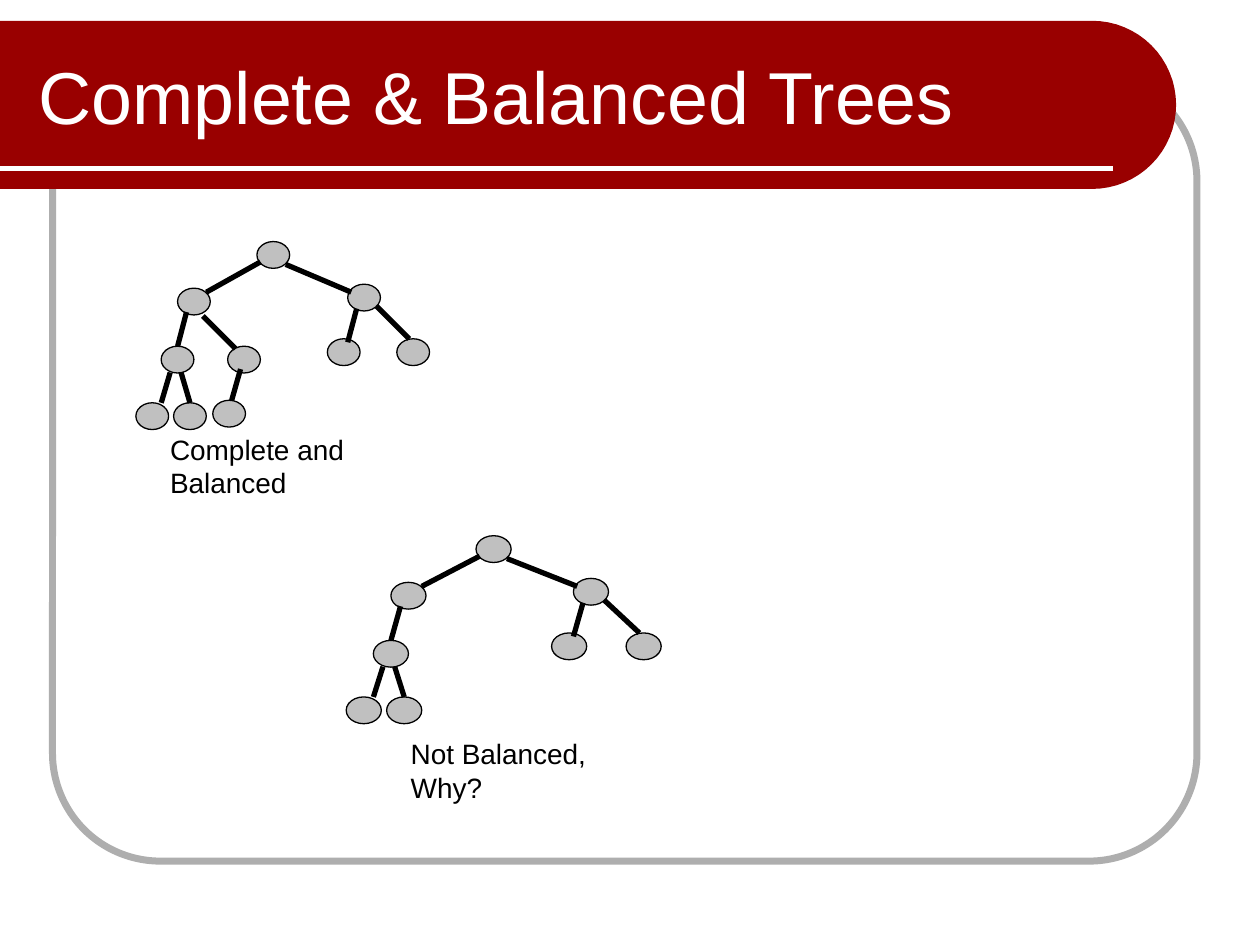
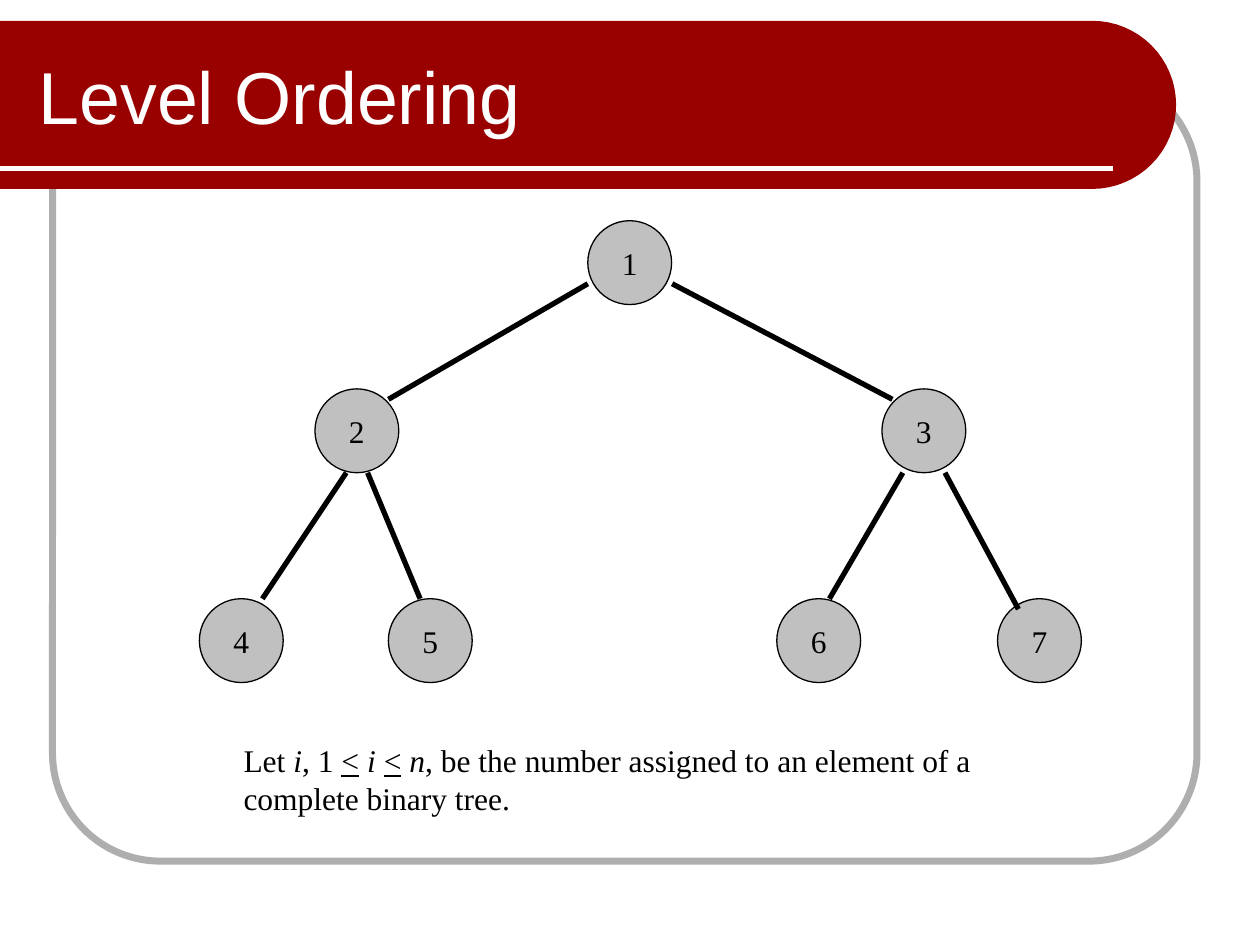
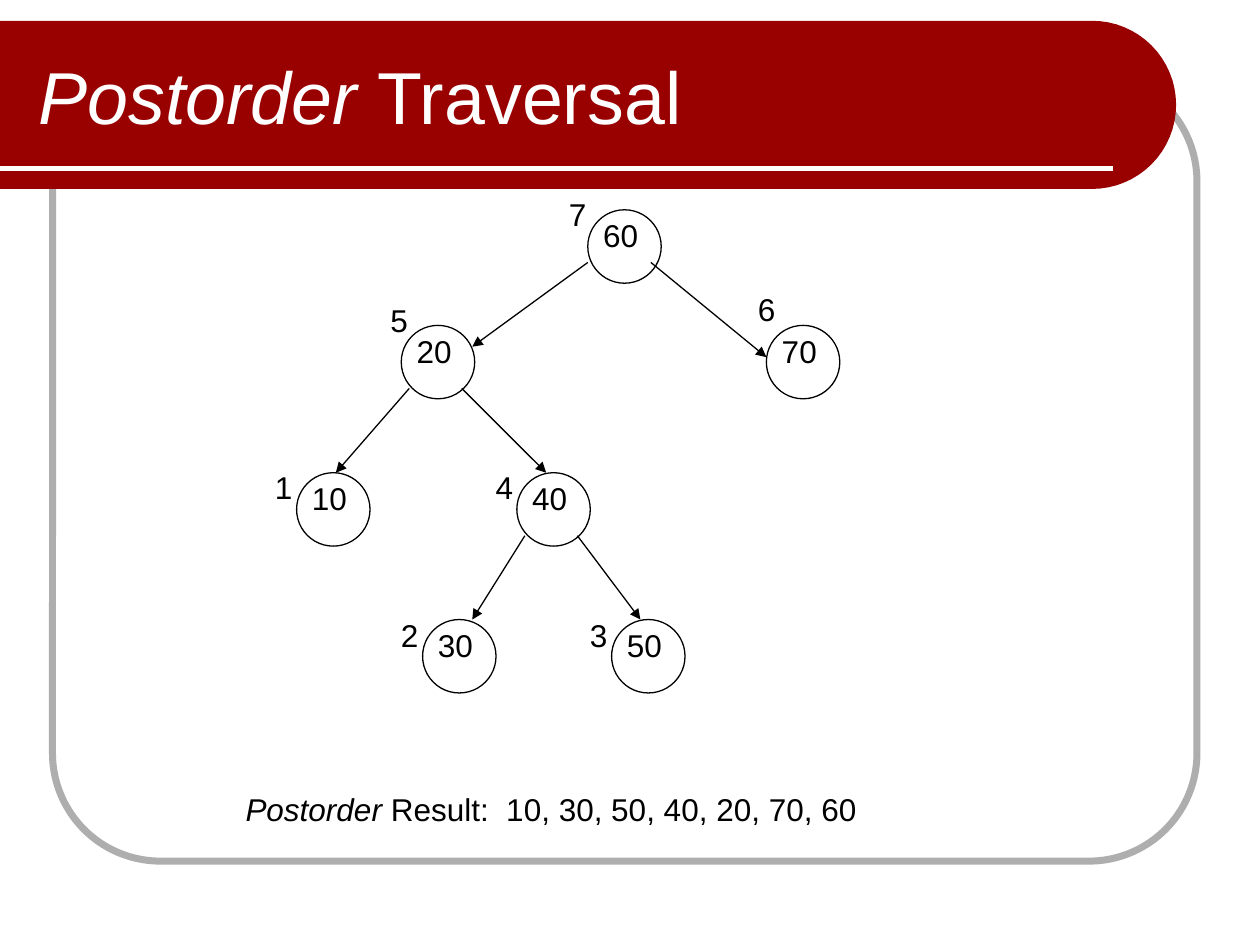
from math import cos, pi, sin

from lxml.etree import SubElement
from pptx import Presentation
from pptx.dml.color import RGBColor
from pptx.enum.shapes import MSO_CONNECTOR, MSO_SHAPE
from pptx.enum.text import MSO_ANCHOR, PP_ALIGN
from pptx.oxml.ns import qn
from pptx.util import Cm, Pt

RED = RGBColor(0x99, 0x00, 0x00)
GREY = RGBColor(0xAE, 0xAE, 0xAE)
SILVER = RGBColor(0xC0, 0xC0, 0xC0)
BLACK = RGBColor(0, 0, 0)
WHITE = RGBColor(0xFF, 0xFF, 0xFF)
SANS = "Arial"
SERIF = "Times New Roman"

SMALL_DOTS = {
    "root": (2.44, 0), "L": (0.84, 0.94), "R": (4.27, 0.86),
    "LL": (0.51, 2.11), "LR": (1.85, 2.11),
    "RL": (3.86, 1.96), "RR": (5.26, 1.96),
    "LLL": (0, 3.25), "LLR": (0.76, 3.25), "LRL": (1.55, 3.2),
}
SMALL_LINKS = {
    "L": (2.51, 0.41, 1.42, 1.02), "R": (3.02, 0.46, 4.34, 1.02),
    "LL": (1.02, 1.42, 0.84, 2.11), "LR": (1.35, 1.5, 2.01, 2.16),
    "RL": (4.45, 1.35, 4.27, 2.03), "RR": (4.85, 1.3, 5.51, 1.96),
    "LLL": (0.69, 2.64, 0.51, 3.25), "LLR": (0.91, 2.64, 1.09, 3.25),
    "LRL": (2.11, 2.57, 1.93, 3.2),
}
LEVEL_DOTS = [
    (7.83, 0), (2.33, 3.39), (13.76, 3.39),
    (0, 7.62), (3.81, 7.62), (11.64, 7.62), (16.09, 7.62),
]
LEVEL_LINKS = [
    (7.83, 1.27, 3.81, 3.6), (9.53, 1.27, 13.97, 3.6),
    (2.96, 5.08, 1.27, 7.62), (3.39, 5.08, 4.45, 7.62),
    (14.18, 5.08, 12.7, 7.62), (15.03, 5.08, 16.51, 7.83),
]
POST_DOTS = [
    ("60", (6.56, 0.42), "7", (5.93, 0)),
    ("40", (5.13, 5.72), "4", (4.45, 5.5)),
    ("10", (0.69, 5.72), "1", (0, 5.5)),
    ("70", (10.16, 2.75), "6", (9.74, 1.91)),
    ("20", (2.8, 2.75), "5", (2.33, 2.12)),
    ("30", (3.23, 8.68), "2", (2.54, 8.47)),
    ("50", (7.04, 8.68), "3", (6.35, 8.47)),
]
POST_LINKS = [
    (6.56, 1.48, 4.23, 3.18), (7.83, 1.48, 10.16, 3.39),
    (2.96, 4.02, 1.48, 5.72), (4.02, 4.02, 5.72, 5.72),
    (5.29, 6.99, 4.23, 8.68), (6.35, 6.99, 7.62, 8.68),
]


def write(shape, text, size=18, font=SANS, color=BLACK,
          align=PP_ALIGN.LEFT, anchor=MSO_ANCHOR.TOP):
    """Fill a shape with a string, or with (string, style) runs."""
    frame = shape.text_frame
    frame.word_wrap = True
    frame.vertical_anchor = anchor
    line = frame.paragraphs[0]
    line.alignment = align
    for part, style in [(text, "")] if isinstance(text, str) else text:
        run = line.add_run()
        run.text = part
        run.font.size = Pt(size)
        run.font.name = font
        run.font.color.rgb = color
        run.font.italic = "i" in style
        run.font.underline = "u" in style


def label(slide, box, text, **style):
    """Add a text box."""
    write(slide.shapes.add_textbox(*map(Cm, box)), text, **style)


def draw(slide, ends, color=BLACK, width=3, arrow=False):
    """Add a straight line, with an arrowhead at its end if asked."""
    line = slide.shapes.add_connector(MSO_CONNECTOR.STRAIGHT, *map(Cm, ends))
    line.line.color.rgb = color
    line.line.width = Pt(width)
    if arrow:
        SubElement(line.line._get_or_add_ln(), qn("a:tailEnd"), type="triangle")
    SubElement(line._element.spPr, qn("a:effectLst"))


def form(slide, kind, box, fill=None, line=BLACK, width=0.75):
    """Add a plain preset shape."""
    shape = slide.shapes.add_shape(kind, *map(Cm, box))
    shape.shadow.inherit = False
    if fill is None:
        shape.fill.background()
    else:
        shape.fill.solid()
        shape.fill.fore_color.rgb = fill
    shape.line.color.rgb = line
    shape.line.width = Pt(width)
    return shape


def band(slide, box):
    """Draw the red band with its round right end and white rule."""
    left, top, width, height = box
    half = height / 2
    edge = left + width - half
    turns = [pi * (step / 32 - 0.5) for step in range(33)]
    arc = [(Cm(edge + half * cos(turn)), Cm(top + half + half * sin(turn)))
           for turn in turns]
    path = slide.shapes.build_freeform(Cm(left), Cm(top), scale=1.0)
    path.add_line_segments(arc + [(Cm(left), Cm(top + height))], close=True)
    shape = path.convert_to_shape()
    shape.shadow.inherit = False
    shape.fill.solid()
    shape.fill.fore_color.rgb = RED
    shape.line.fill.background()
    rule = top + height - 0.42
    draw(slide, (left, rule, left + width - 1.27, rule), color=WHITE)


def page(deck, title):
    """Add a slide with frame, band and title."""
    slide = deck.slides.add_slide(deck.slide_layouts[6])
    frame = form(slide, MSO_SHAPE.ROUNDED_RECTANGLE,
                 (1.06, 1.48, 23.07, 15.88), line=GREY, width=4)
    frame.adjustments[0] = 0.137
    band(slide, (0, 0.42, 23.71, 3.39))
    label(slide, (0.53, 0.64, 19.79, 2.54), title, size=42, color=WHITE,
          anchor=MSO_ANCHOR.MIDDLE)
    return slide


def link(slide, left, top, ends, stretch=1, **style):
    """Draw a branch given relative to the corner of its tree."""
    x1, y1, x2, y2 = ends
    draw(slide, (left + x1 * stretch, top + y1, left + x2 * stretch, top + y2),
         **style)


def small(slide, box, skip=()):
    """Draw the small tree without the skipped nodes."""
    left, top, width, height = box
    wide = width / 5.92
    for name, (x, y) in SMALL_DOTS.items():
        if name not in skip:
            form(slide, MSO_SHAPE.OVAL,
                 (left + x * wide, top + y, 0.66 * wide, height - 3.25),
                 fill=SILVER)
    for name, ends in SMALL_LINKS.items():
        if name not in skip:
            link(slide, left, top, ends, stretch=wide)


def level(slide, left, top):
    """Draw the tree numbered level by level."""
    for count, (x, y) in enumerate(LEVEL_DOTS, 1):
        dot = form(slide, MSO_SHAPE.OVAL, (left + x, top + y, 1.69, 1.69),
                   fill=SILVER)
        dot.text_frame.margin_left = dot.text_frame.margin_right = 0
        write(dot, str(count), font=SERIF, align=PP_ALIGN.CENTER,
              anchor=MSO_ANCHOR.MIDDLE)
    for ends in LEVEL_LINKS:
        link(slide, left, top, ends)


def post(slide, left, top):
    """Draw the tree with keys and the order of visits."""
    for key, (x, y), turn, (side, rise) in POST_DOTS:
        form(slide, MSO_SHAPE.OVAL, (left + x, top + y, 1.48, 1.48))
        label(slide, (left + x + 0.06, top + y, 1.35, 1.27), key)
        label(slide, (left + side, top + rise, 0.84, 1.02), turn,
              anchor=MSO_ANCHOR.MIDDLE)
    for ends in POST_LINKS:
        link(slide, left, top, ends, width=0.75, arrow=True)


def main():
    """Build the three slides."""
    deck = Presentation()
    deck.slide_width, deck.slide_height = Cm(25.4), Cm(19.05)

    slide = page(deck, "Complete & Balanced Trees")
    small(slide, (2.74, 4.87, 5.92, 3.79))
    small(slide, (6.98, 10.8, 6.35, 3.79), skip=("LR", "LRL"))
    label(slide, (3.18, 8.59, 6.38, 0.94), "Complete and Balanced", size=16)
    label(slide, (8.03, 14.73, 5.51, 0.94), "Not Balanced, Why?", size=16)

    slide = page(deck, "Level Ordering")
    level(slide, 4.02, 4.45)
    label(slide, (4.66, 14.82, 16.51, 1.8), [
        ("Let ", ""), ("i", "i"), (", 1 ", ""), ("<", "u"), (" ", ""),
        ("i ", "i"), ("<", "u"), (" ", ""), ("n", "i"),
        (", be the number assigned to an element of a complete binary tree.",
         "")], font=SERIF)

    slide = page(deck, [("Postorder ", "i"), ("Traversal", "")])
    label(slide, (4.7, 15.67, 16.03, 1.27),
          [("Postorder", "i"), (" Result:  10, 30, 50, 40, 20, 70, 60", "")],
          anchor=MSO_ANCHOR.MIDDLE)
    post(slide, 5.29, 3.81)

    deck.save("out.pptx")


main()
